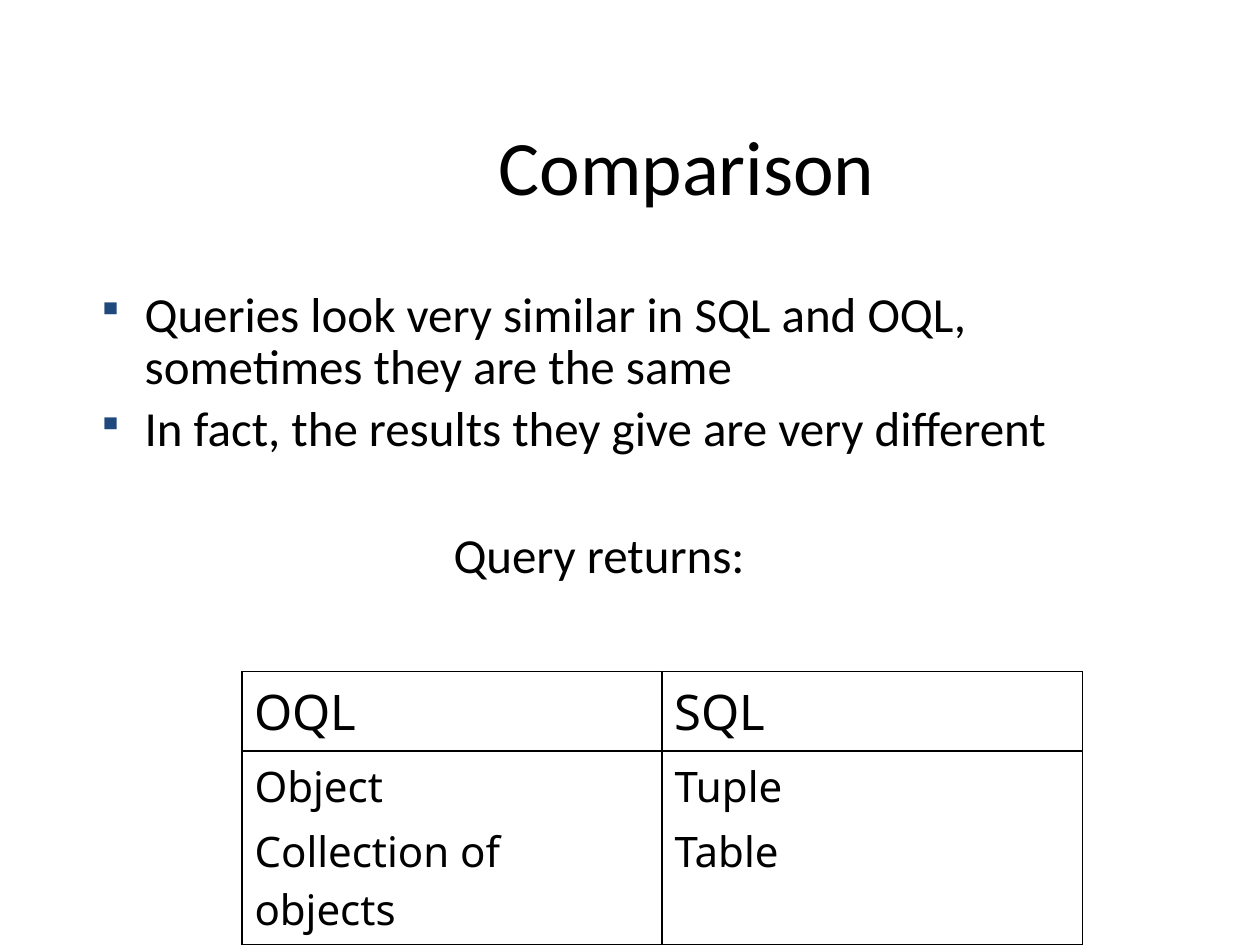
"""Build the slide comparing the results of OQL and SQL queries."""
from dataclasses import dataclass

from lxml import etree
from pptx import Presentation
from pptx.dml.color import RGBColor
from pptx.enum.text import MSO_ANCHOR, PP_ALIGN
from pptx.oxml.ns import qn
from pptx.util import Inches, Pt


@dataclass(frozen=True)
class Theme:
    ink: str = "000000"
    bullet: str = "1F497D"
    body_font: str = "Calibri"
    table_font: str = "Noto Sans"
    title_size: int = 44
    body_size: int = 28
    cell_size: int = 24
    border: int = 1


THEME = Theme()
TITLE = "Comparison"
POINTS = [
    "Queries look very similar in SQL and OQL, sometimes they are the same",
    "In fact, the results they give are very different",
]
CAPTION = "Query returns:"
RESULTS = [
    (THEME.body_size, [["OQL"], ["SQL"]]),
    (THEME.cell_size, [["Object", "Collection of objects"], ["Tuple", "Table"]]),
]
ROW_HEIGHTS = [0.63, 1.54]
TABLE_BOX = (1.92, 5.33, 6.67, sum(ROW_HEIGHTS))


def inches(box):
    return [Inches(value) for value in box]


def add_paragraph(frame, text, font, size, before=0.0):
    first = frame.paragraphs[0]
    paragraph = frame.add_paragraph() if first.runs else first
    paragraph.space_before = Pt(before)
    run = paragraph.add_run()
    run.text = text
    run.font.name = font
    run.font.size = Pt(size)
    run.font.color.rgb = RGBColor.from_string(THEME.ink)
    return paragraph


def add_text_frame(slide, box):
    frame = slide.shapes.add_textbox(*inches(box)).text_frame
    frame.word_wrap = True
    return frame


def add_bullet(paragraph):
    props = paragraph._p.get_or_add_pPr()
    props.set("marL", str(Inches(0.38)))
    props.set("indent", str(Inches(-0.38)))
    color = etree.SubElement(props, qn("a:buClr"))
    etree.SubElement(color, qn("a:srgbClr"), val=THEME.bullet)
    etree.SubElement(props, qn("a:buSzPct"), val="75000")
    etree.SubElement(props, qn("a:buChar"), char="▪")


def add_borders(cell):
    props = cell._tc.get_or_add_tcPr()
    for index, side in enumerate(("lnL", "lnR", "lnT", "lnB")):
        line = etree.Element(qn(f"a:{side}"), w=str(Pt(THEME.border)))
        fill = etree.SubElement(line, qn("a:solidFill"))
        etree.SubElement(fill, qn("a:srgbClr"), val=THEME.ink)
        props.insert(index, line)


def add_title(slide):
    frame = add_text_frame(slide, (1.26, 0.68, 8.52, 1.25))
    frame.vertical_anchor = MSO_ANCHOR.MIDDLE
    title = add_paragraph(frame, TITLE + " ", THEME.body_font, THEME.title_size)
    title.alignment = PP_ALIGN.CENTER


def add_body(slide):
    frame = add_text_frame(slide, (0.67, 2.25, 8.17, 2.42))
    for index, text in enumerate(POINTS):
        before = 5 if index else 0
        point = add_paragraph(frame, text, THEME.body_font, THEME.body_size, before)
        point.line_spacing = 0.9
        add_bullet(point)
    caption = add_paragraph(frame, CAPTION, THEME.body_font, THEME.body_size, 42)
    caption.line_spacing = 0.9
    caption.alignment = PP_ALIGN.CENTER


def add_results(slide):
    columns = len(RESULTS[0][1])
    table = slide.shapes.add_table(len(RESULTS), columns, *inches(TABLE_BOX)).table
    table.first_row = table.horz_banding = False
    for column in table.columns:
        column.width = Inches(TABLE_BOX[2] / columns)
    for r, (size, cells) in enumerate(RESULTS):
        table.rows[r].height = Inches(ROW_HEIGHTS[r])
        for c, lines in enumerate(cells):
            cell = table.cell(r, c)
            cell.fill.background()
            add_borders(cell)
            for index, text in enumerate(lines):
                before = 0.2 * size if index else 0
                add_paragraph(cell.text_frame, text, THEME.table_font, size, before)


def main():
    deck = Presentation()
    deck.slide_width, deck.slide_height = Inches(10), Inches(7.5)
    slide = deck.slides.add_slide(deck.slide_layouts[6])
    add_title(slide)
    add_body(slide)
    add_results(slide)
    deck.save("out.pptx")


main()
